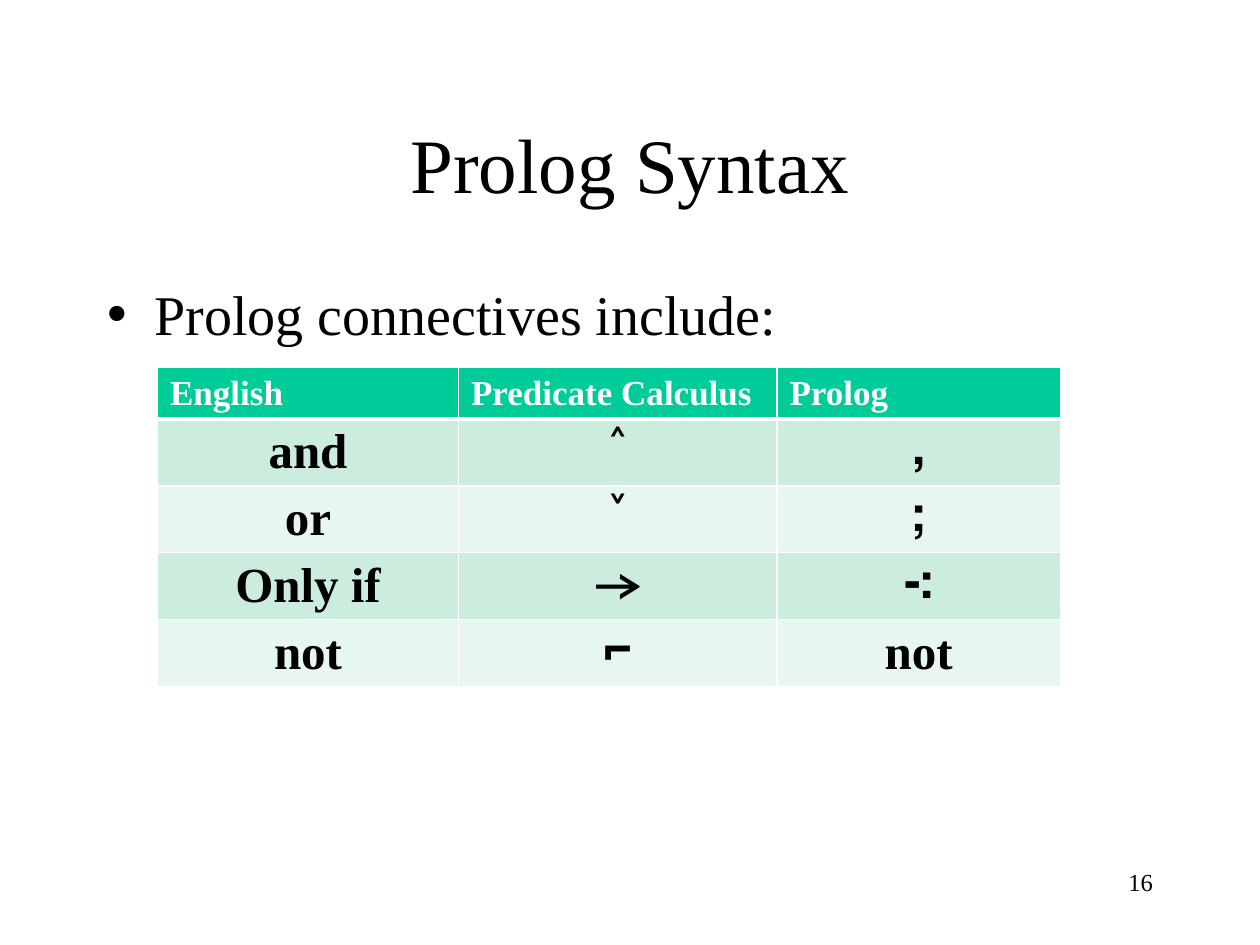
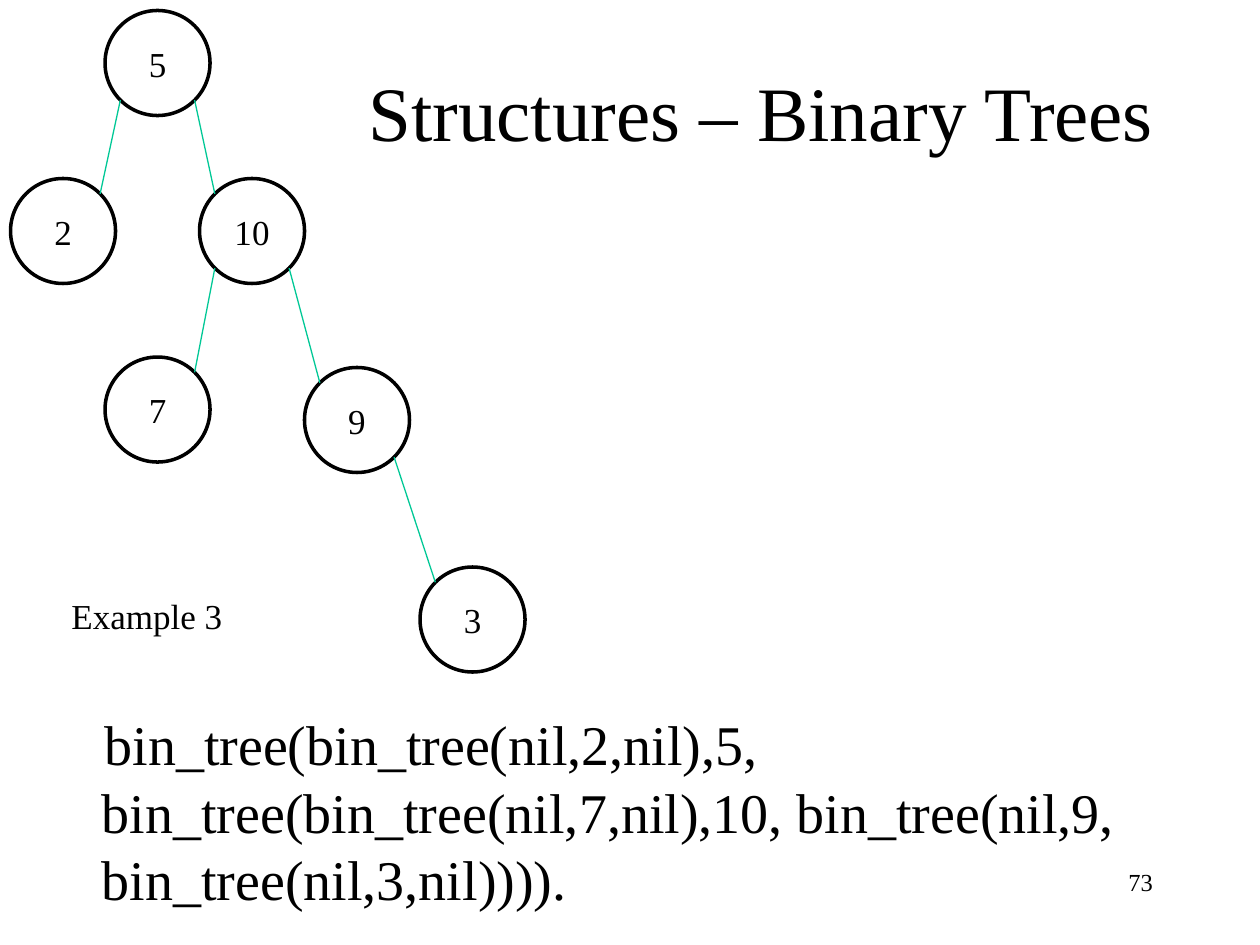
"""Build two Prolog lecture slides: a syntax table and a binary tree."""
import math

import pptx
import pptx.dml.color
import pptx.enum.shapes
import pptx.enum.text
import pptx.oxml
import pptx.oxml.ns
import pptx.util

Pt = pptx.util.Pt
ALIGN = pptx.enum.text.PP_ALIGN
ANCHOR = pptx.enum.text.MSO_ANCHOR
AUTO_SIZE = pptx.enum.text.MSO_AUTO_SIZE

FONT = "Times New Roman"
BLACK, WHITE = "000000", "FFFFFF"
HEADER_FILL, EDGE_COLOUR = "00CC99", "00C896"
BAND_FILLS = ("CCECDE", "E7F6EF")
NODE_SIZE = 60

CONNECTIVES = [
    ("English", "Predicate Calculus", "Prolog"),
    ("and", "\u02c4", ","),
    ("or", "\u02c5", ";"),
    ("Only if", "\u2192", ":-"),
    ("not", "\u2310", "not"),
]
NODES = {  # value: left, top
    "2": (6, 102),
    "5": (60, 6),
    "10": (114, 102),
    "7": (60, 204),
    "9": (174, 210),
    "3": (240, 324),
}
EDGES = [("5", "2"), ("5", "10"), ("10", "7"), ("10", "9"), ("9", "3")]
TREE_TERM = ("bin_tree(bin_tree(nil,2,nil),5, bin_tree(bin_tree(nil,7,nil),10, "
             "bin_tree(nil,9, bin_tree(nil,3,nil)))).")


def colour(value):
    """Turn a hex string into a colour."""
    return pptx.dml.color.RGBColor.from_string(value)


def apply_format(target, values):
    """Set every attribute named in a dict."""
    for name, value in values.items():
        setattr(target, name, value)


def write(frame, text, size, align, hue=BLACK, bold=False):
    """Put one formatted paragraph in a text frame and return it."""
    para = frame.paragraphs[0]
    para.alignment = align
    span = para.add_run()
    span.text = text
    apply_format(span.font, {"name": FONT, "size": Pt(size), "bold": bold})
    span.font.color.rgb = colour(hue)
    return para


def place(shape, left, top, width, height):
    """Move and size a shape, in points."""
    apply_format(shape, {"left": Pt(left), "top": Pt(top),
                         "width": Pt(width), "height": Pt(height)})


def fill_placeholder(holder, area, text, size, align, anchor):
    """Place a title or body placeholder and write its text."""
    place(holder, *area)
    apply_format(holder.text_frame, {"auto_size": AUTO_SIZE.NONE, "word_wrap": True,
                                     "vertical_anchor": anchor})
    return write(holder.text_frame, text, size, align)


def add_text(page, area, text, size, align, auto_size=AUTO_SIZE.NONE):
    """Add a wrapping text box."""
    box = page.shapes.add_textbox(*map(Pt, area))
    apply_format(box.text_frame, {"word_wrap": True, "auto_size": auto_size})
    write(box.text_frame, text, size, align)


def add_page(deck, title, title_area, body, body_area, number):
    """Add a slide with title, body and page number; return it and the body paragraph."""
    page = deck.slides.add_slide(deck.slide_layouts[1])
    fill_placeholder(page.shapes.title, title_area, title, 44, ALIGN.CENTER, ANCHOR.MIDDLE)
    para = fill_placeholder(page.placeholders[1], body_area, body, 32, ALIGN.LEFT, ANCHOR.TOP)
    add_text(page, (516, 492, 150, 36), number, 14, ALIGN.RIGHT)
    return page, para


def set_borders(cell, bottom):
    """Draw white cell borders, with the bottom one of the given width."""
    properties = cell._tc.get_or_add_tcPr()
    widths = {"lnL": 1, "lnR": 1, "lnT": 1, "lnB": bottom}
    for index, (side, width) in enumerate(widths.items()):
        properties.insert(index, pptx.oxml.parse_xml(
            f'<a:{side} {pptx.oxml.ns.nsdecls("a")} w="{Pt(width)}"><a:solidFill>'
            f'<a:srgbClr val="{WHITE}"/></a:solidFill></a:{side}>'))


def add_connective_table(page):
    """Add the banded table of connectives, with right-to-left paragraphs."""
    widths = (172, 182, 162)
    table = page.shapes.add_table(len(CONNECTIVES), len(widths), Pt(90), Pt(210),
                                  Pt(sum(widths)), Pt(181)).table
    for column, width in zip(table.columns, widths):
        column.width = Pt(width)
    for row, texts in enumerate(CONNECTIVES):
        header = row == 0
        table.rows[row].height = Pt(29 if header else 38)
        for column, text in enumerate(texts):
            cell = table.cell(row, column)
            cell.fill.solid()
            cell.fill.fore_color.rgb = colour(HEADER_FILL if header else BAND_FILLS[(row - 1) % 2])
            set_borders(cell, 3 if header else 1)
            para = write(cell.text_frame, text, 20 if header else 28,
                         ALIGN.LEFT if header else ALIGN.CENTER,
                         WHITE if header else BLACK, True)
            para._p.get_or_add_pPr().set("rtl", "1")


def add_node(tree, value):
    """Add one tree node as a circle holding its value."""
    node = tree.shapes.add_shape(pptx.enum.shapes.MSO_SHAPE.OVAL, *map(Pt, NODES[value]),
                                 Pt(NODE_SIZE), Pt(NODE_SIZE))
    node.shadow.inherit = False
    node.fill.background()
    node.line.color.rgb = colour(BLACK)
    node.line.width = Pt(2)
    apply_format(node.text_frame, {"word_wrap": False, "vertical_anchor": ANCHOR.MIDDLE})
    write(node.text_frame, value, 20, ALIGN.CENTER)


def add_edge(tree, parent, child):
    """Join the lower diagonal point of a parent to the upper one of its child."""
    radius = NODE_SIZE / 2
    reach = radius * math.sqrt(0.5)
    (parent_x, parent_y), (child_x, child_y) = NODES[parent], NODES[child]
    side = reach if child_x > parent_x else -reach
    points = (parent_x + radius + side, parent_y + radius + reach,
              child_x + radius - side, child_y + radius - reach)
    edge = tree.shapes.add_connector(pptx.enum.shapes.MSO_CONNECTOR.STRAIGHT, *map(Pt, points))
    edge.line.color.rgb = colour(EDGE_COLOUR)
    edge.line.width = Pt(0.75)
    edge._element.spPr.append(pptx.oxml.parse_xml(
        f'<a:effectLst {pptx.oxml.ns.nsdecls("a")}/>'))


def add_tree(page):
    """Add the grouped binary tree."""
    tree = page.shapes.add_group_shape()
    for value in NODES:
        add_node(tree, value)
    for parent, child in EDGES:
        add_edge(tree, parent, child)


def remove_bullet(para, margin, indent):
    """Drop the bullet of a paragraph and set its indents."""
    properties = para._p.get_or_add_pPr()
    properties.set("marL", str(Pt(margin)))
    properties.set("indent", str(Pt(indent)))
    properties.append(pptx.oxml.parse_xml(f'<a:buNone {pptx.oxml.ns.nsdecls("a")}/>'))


def main():
    """Build and save the deck."""
    deck = pptx.Presentation()
    apply_format(deck, {"slide_width": Pt(720), "slide_height": Pt(540)})

    page, _ = add_page(deck, "Prolog Syntax", (54, 48, 612, 90),
                       "Prolog connectives include:", (54, 156, 612, 324), "16")
    add_connective_table(page)

    page, term = add_page(deck, "Structures \u2013 Binary Trees", (168, 18, 534, 90),
                          TREE_TERM, (24, 402, 666, 120), "73")
    remove_bullet(term, 27, 1.5)
    add_text(page, (30, 336, 108, 32), "Example 3", 20, ALIGN.CENTER,
             AUTO_SIZE.SHAPE_TO_FIT_TEXT)
    add_tree(page)

    deck.save("out.pptx")


main()
